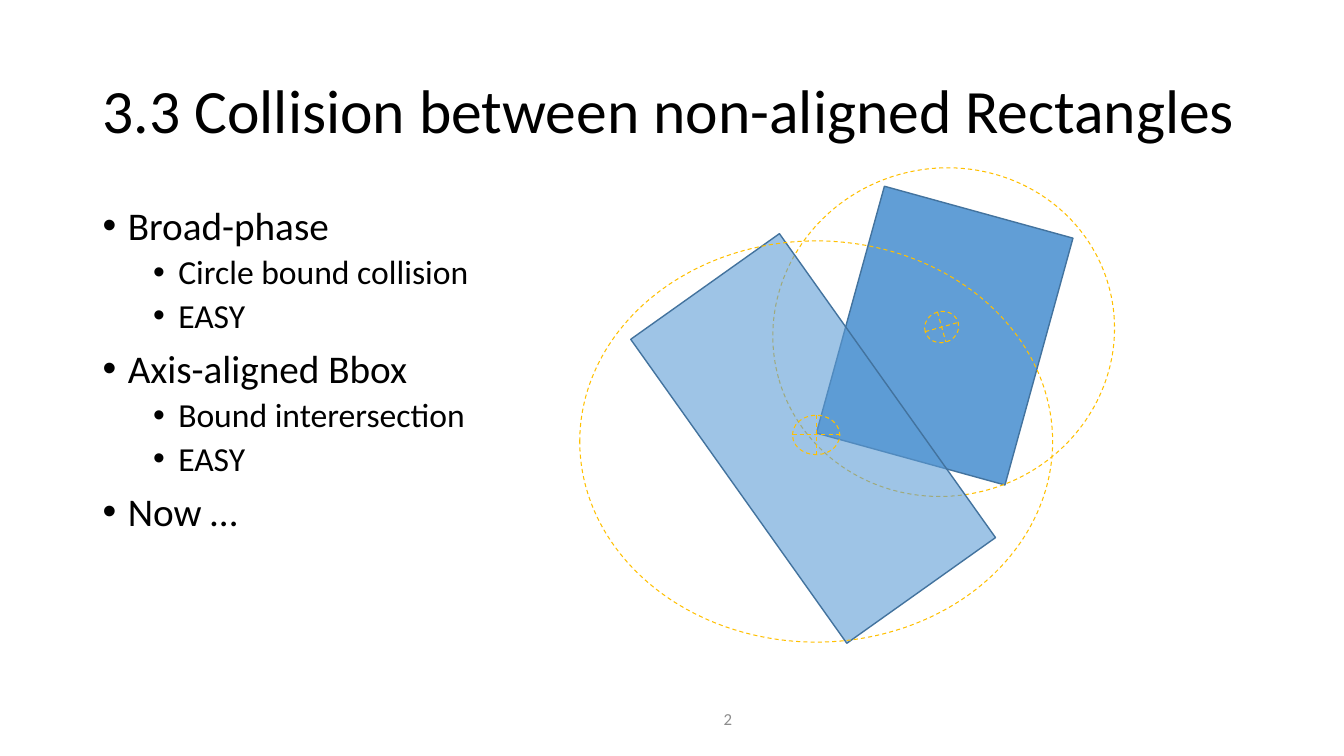
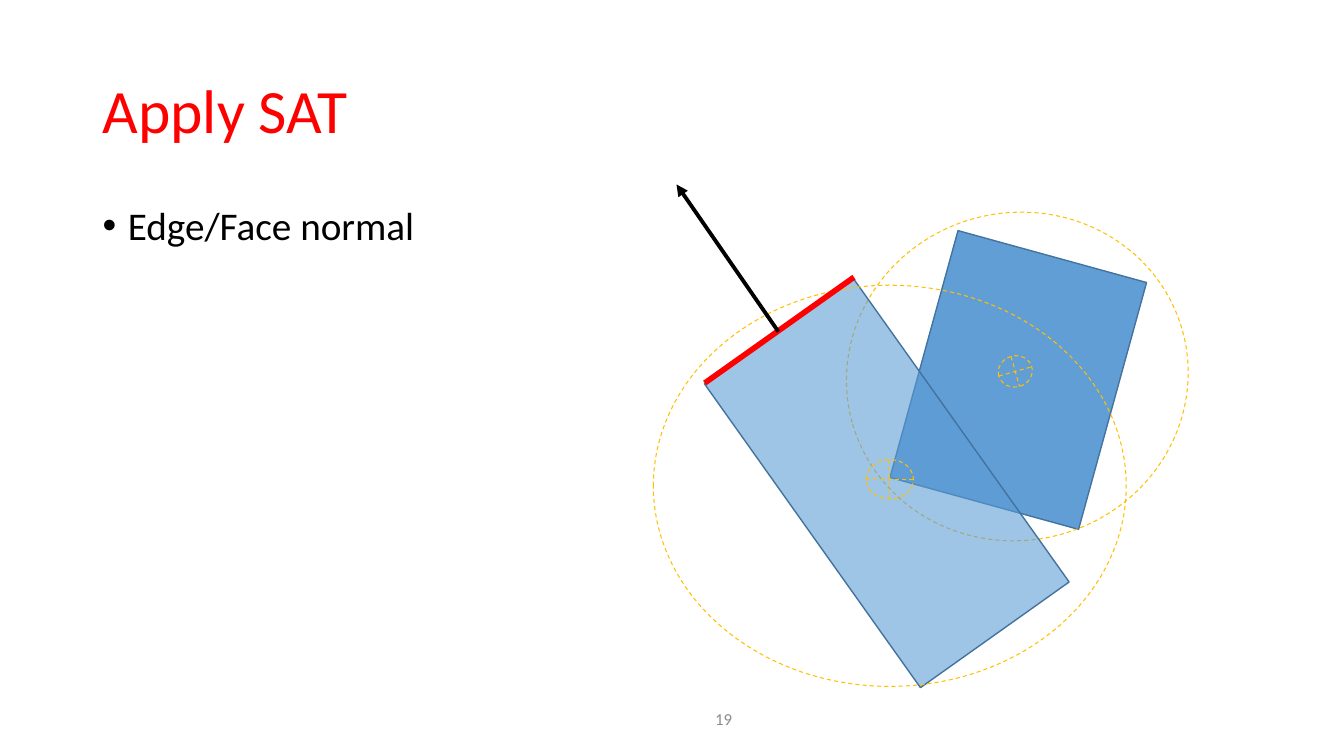
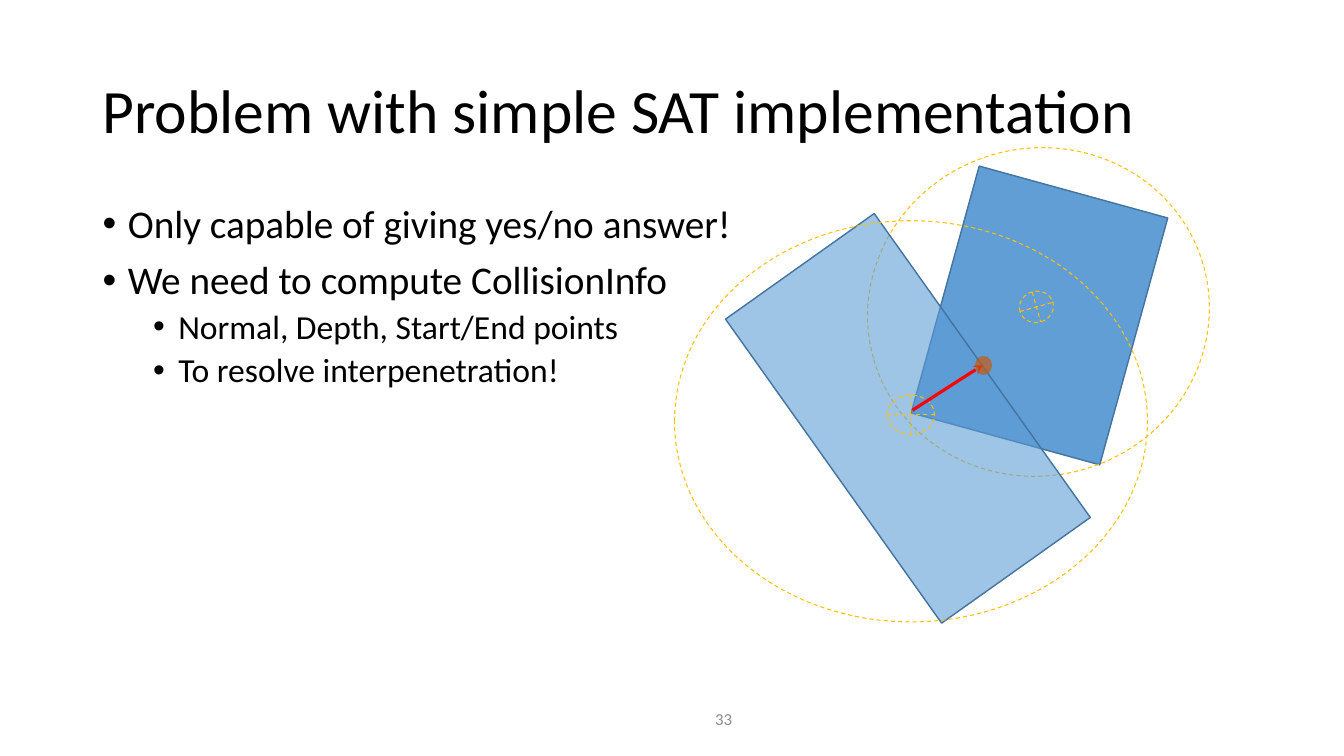
from pptx import Presentation
from pptx.dml.color import RGBColor
from pptx.enum.dml import MSO_LINE
from pptx.enum.shapes import MSO_CONNECTOR, MSO_SHAPE
from pptx.enum.text import MSO_ANCHOR, PP_ALIGN
from pptx.oxml.ns import qn
from pptx.util import Inches, Pt
from lxml.etree import SubElement

COLORS = {
    "black": "000000",
    "red": "FF0000",
    "gray": "8C8C8C",
    "blue": "5B9BD5",
    "edge": "43739E",
    "bound": "FFC000",
    "contact": "C55A11",
}
FONT = "Calibri"
LEVELS = [
    {"size": 28, "margin": 0.25, "before": 10},
    {"size": 24, "margin": 0.75, "before": 5},
]


def add_text(slide, lines, box, size=None, color="black", align=PP_ALIGN.LEFT,
             anchor=MSO_ANCHOR.TOP, spacing=0.9, bullets=False):
    frame = slide.shapes.add_textbox(*map(Inches, box)).text_frame
    frame.word_wrap = True
    frame.vertical_anchor = anchor
    for index, (level, text) in enumerate(lines):
        paragraph = frame.paragraphs[0] if index == 0 else frame.add_paragraph()
        style = LEVELS[level]
        if bullets:
            paragraph.level = level
            properties = paragraph._p.get_or_add_pPr()
            properties.set("marL", str(Inches(style["margin"])))
            properties.set("indent", str(Inches(-0.25)))
            SubElement(properties, qn("a:buFont")).set("typeface", "Arial")
            SubElement(properties, qn("a:buChar")).set("char", "•")
            if index:
                paragraph.space_before = Pt(style["before"])
        paragraph.alignment = align
        paragraph.line_spacing = spacing
        run = paragraph.add_run()
        run.text = text
        run.font.name = FONT
        run.font.size = Pt(size or style["size"])
        run.font.color.rgb = RGBColor.from_string(COLORS[color])


def add_figure(slide, kind, box, rotation=0, fill=None, opacity=100, line=None, width=1, dash=None):
    figure = slide.shapes.add_shape(kind, *map(Inches, box))
    figure.shadow.inherit = False
    figure.rotation = rotation
    if fill:
        figure.fill.solid()
        figure.fill.fore_color.rgb = RGBColor.from_string(COLORS[fill])
        tint = figure._element.spPr.find(qn("a:solidFill")).find(qn("a:srgbClr"))
        SubElement(tint, qn("a:alpha")).set("val", str(opacity * 1000))
    else:
        figure.fill.background()
    if line:
        figure.line.color.rgb = RGBColor.from_string(COLORS[line])
        figure.line.width = Pt(width)
        figure.line.dash_style = dash
    else:
        figure.line.fill.background()


BOUND = {"line": "bound", "width": 0.75, "dash": MSO_LINE.DASH}
SOLID = {"fill": "blue", "line": "edge"}
COLLISION = [
    (MSO_SHAPE.RECTANGLE, (2.65, -0.33, 1.94, 2.54), {**SOLID, "rotation": 15.4, "opacity": 96}),
    (MSO_SHAPE.OVAL, (1.91, -0.72, 3.4, 3.25), {**BOUND, "rotation": 344.4}),
    (MSO_SHAPE.FLOWCHART_OR, (3.42, 0.7, 0.34, 0.31), {**BOUND, "rotation": 344.4}),
    (MSO_SHAPE.RECTANGLE, (1.41, 0.11, 1.81, 3.7), {**SOLID, "rotation": 324.6, "opacity": 59}),
    (MSO_SHAPE.OVAL, (0, 0, 4.69, 3.98), BOUND),
    (MSO_SHAPE.FLOWCHART_OR, (2.11, 1.73, 0.47, 0.39), BOUND),
]

SLIDES = [
    {
        "number": "2",
        "title": "3.3 Collision between non-aligned Rectangles",
        "points": [
            (0, "Broad-phase"),
            (1, "Circle bound collision"),
            (1, "EASY"),
            (0, "Axis-aligned Bbox"),
            (1, "Bound interersection"),
            (1, "EASY"),
            (0, "Now …"),
        ],
        "origin": (5.75, 2.39),
    },
    {
        "number": "19",
        "title": "Apply SAT",
        "title_color": "red",
        "points": [(0, "Edge/Face normal")],
        "origin": (6.48, 2.83),
        "vectors": [
            ((6.99, 3.8, 8.47, 2.75), "red", 4, None),
            ((7.72, 3.29, 6.71, 1.83), "black", 2.75, "triangle"),
        ],
    },
    {
        "number": "33",
        "title": "Problem with simple SAT implementation",
        "points": [
            (0, "Only capable of giving yes/no answer!"),
            (0, "We need to compute CollisionInfo"),
            (1, "Normal, Depth, Start/End points"),
            (1, "To resolve interpenetration!"),
        ],
        "points_top": 1.98,
        "origin": (6.69, 2.19),
        "vectors": [((9.05, 4.07, 9.75, 3.62), "red", 2.25, "stealth")],
        "contact": (9.67, 3.53, 0.17, 0.19),
    },
]

deck = Presentation()
deck.slide_width = Inches(13.33)
deck.slide_height = Inches(7.5)

for content in SLIDES:
    slide = deck.slides.add_slide(deck.slide_layouts[6])
    add_text(slide, [(0, content["number"])], (6.17, 6.93, 1.19, 0.4), size=12, color="gray",
             align=PP_ALIGN.RIGHT, anchor=MSO_ANCHOR.MIDDLE, spacing=1.0)
    add_text(slide, [(0, content["title"])], (0.92, 0.4, 11.5, 1.45), size=44,
             color=content.get("title_color", "black"), anchor=MSO_ANCHOR.MIDDLE)
    add_text(slide, content["points"], (0.92, content.get("points_top", 2), 11.5, 4.76), bullets=True)

    left, top = content["origin"]
    for kind, (dx, dy, width, height), style in COLLISION:
        add_figure(slide, kind, (left + dx, top + dy, width, height), **style)

    for ends, color, weight, head in content.get("vectors", []):
        vector = slide.shapes.add_connector(MSO_CONNECTOR.STRAIGHT, *map(Inches, ends))
        vector.line.color.rgb = RGBColor.from_string(COLORS[color])
        vector.line.width = Pt(weight)
        if head:
            SubElement(vector.line._get_or_add_ln(), qn("a:tailEnd")).set("type", head)
        SubElement(vector._element.spPr, qn("a:effectLst"))

    if "contact" in content:
        add_figure(slide, MSO_SHAPE.OVAL, content["contact"], fill="contact", opacity=70)

deck.save("out.pptx")
